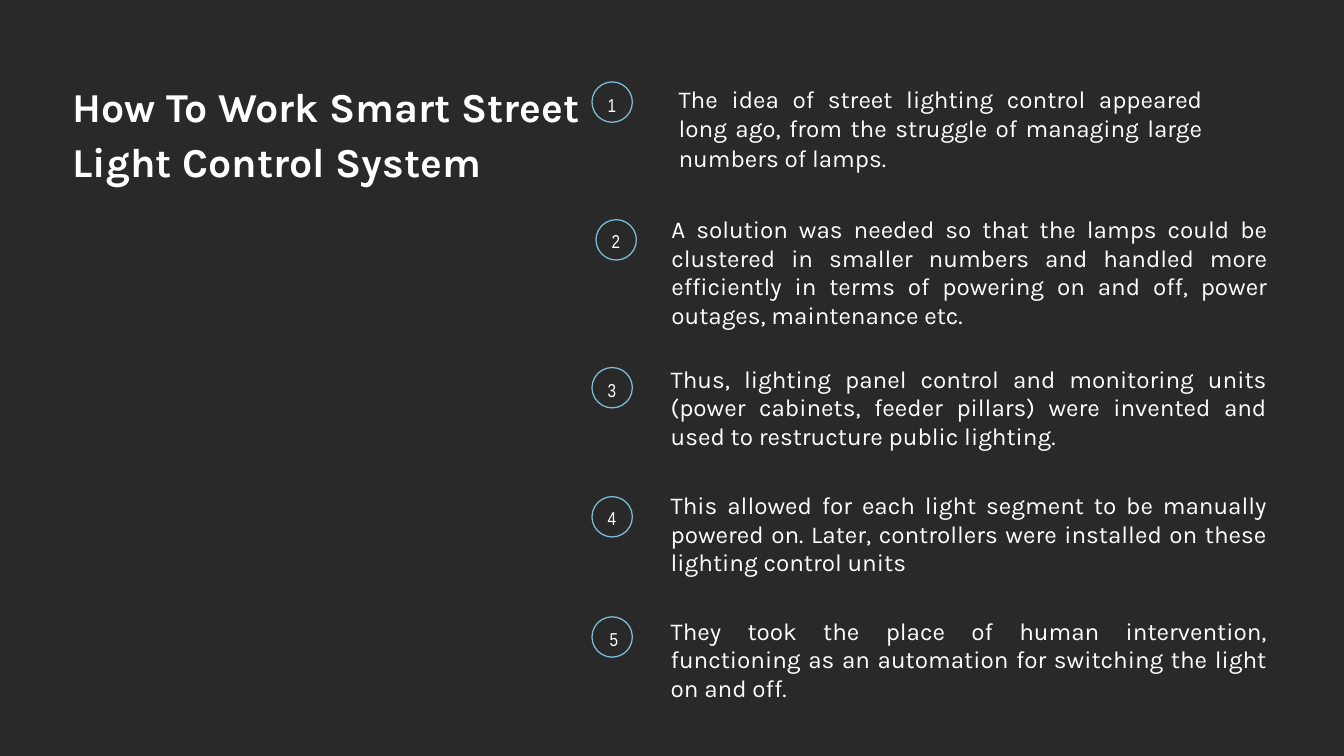
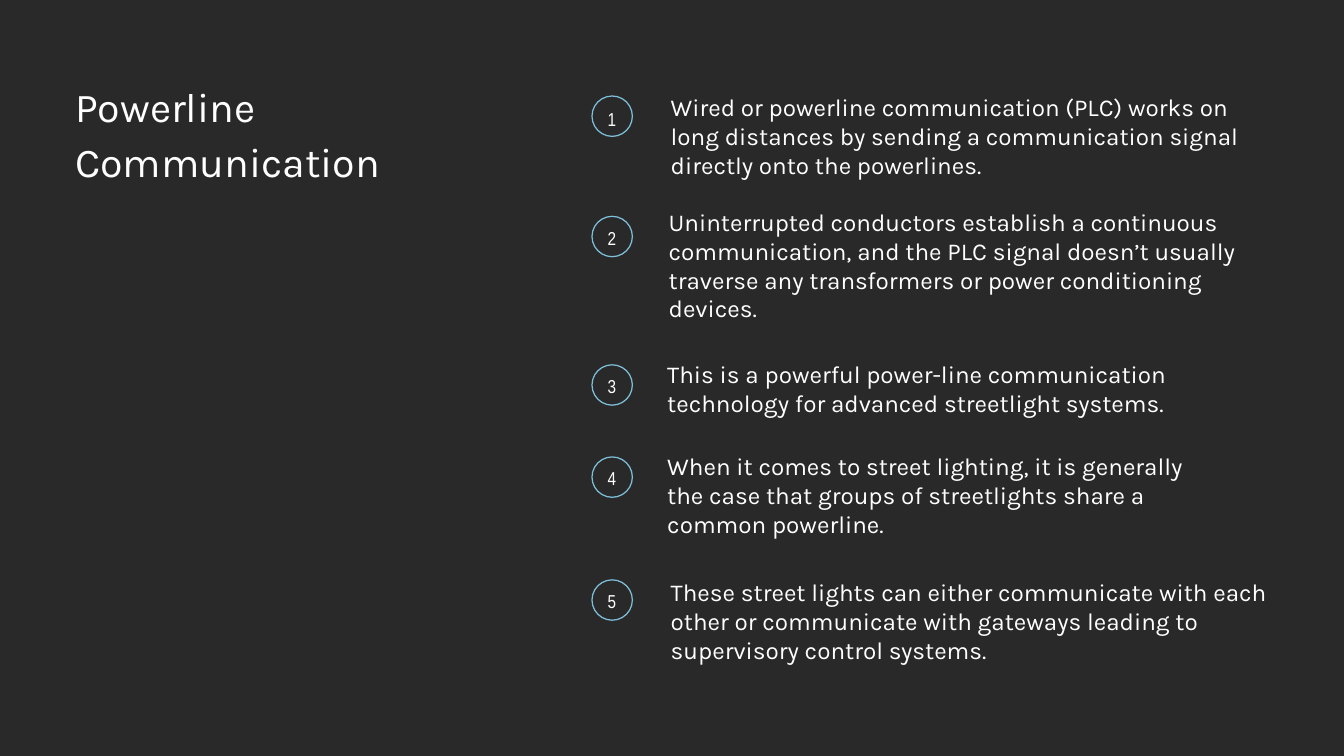
"""Build two dark slides, each with a title and five numbered steps."""
from dataclasses import dataclass

from pptx import Presentation
from pptx.dml.color import RGBColor
from pptx.enum.shapes import MSO_SHAPE as Shape
from pptx.enum.text import MSO_AUTO_SIZE as Fit, PP_ALIGN as Align
from pptx.util import Pt

DARK, WHITE, BLUE = "292929", "FFFFFF", "7EC0DA"
BODY, DIGIT = "Karla", "Arial Narrow"
LEFT = 633.6
RING = 44.6


@dataclass
class Step:
    """One numbered step, with its text placed from the left and top of its row."""
    top: float
    text: str
    dx: float = 85
    dy: float = 0
    wide: float = 639.4
    high: float = 93.6
    lead: float = 30.8
    ring: float = 0
    num: tuple = (6.5, 7.5)


def paint(code):
    """Turn a hex string into a colour."""
    return RGBColor.from_string(code)


def write(shapes, box, text, size, lead=None, face=BODY, align=None, bold=None):
    """Add a text box; exact line spacing goes with zero insets."""
    frame = shapes.add_textbox(*map(Pt, box)).text_frame
    frame.word_wrap = True
    frame.auto_size = Fit.SHAPE_TO_FIT_TEXT
    frame.text = text
    para = frame.paragraphs[0]
    para.alignment = align
    if lead:
        frame.margin_left = frame.margin_right = 0
        frame.margin_top = frame.margin_bottom = 0
        para.line_spacing = Pt(lead)
    font = para.runs[0].font
    font.name, font.size, font.bold = face, Pt(size), bold
    font.color.rgb = paint(WHITE)


def badge(slide, left, top, digit, shift):
    """Add a thin ring with a digit in it."""
    shapes = slide.shapes.add_group_shape().shapes
    ring = shapes.add_shape(Shape.DONUT, *map(Pt, (left, top, RING, RING)))
    ring.adjustments[0] = 0.03
    ring.shadow.inherit = False
    ring.fill.solid()
    ring.fill.fore_color.rgb = paint(BLUE)
    ring.line.fill.background()
    box = (left + shift[0], top + shift[1], 31, 28)
    write(shapes, box, str(digit), 20, 28, DIGIT, Align.CENTER)


def panel(slide, left, steps, align):
    """Add the numbered steps, measured from the left of the panel."""
    for digit, step in enumerate(steps, 1):
        badge(slide, left + step.ring, step.top, digit, step.num)
        box = (left + step.dx, step.top + step.dy, step.wide, step.high)
        write(slide.shapes, box, step.text, 26, step.lead, align=align)


def page(deck, title, box, steps, bold=None, align=None):
    """Add a slide with its title and steps."""
    slide = deck.slides.add_slide(deck.slide_layouts[6])
    fill = slide.background.fill
    fill.solid()
    fill.fore_color.rgb = paint(DARK)
    write(slide.shapes, box, title, 44, 58.8, bold=bold)
    panel(slide, LEFT, steps, align)


WORK = [
    Step(87.1, "The idea of street lighting control appeared long ago, from the "
         "struggle of managing large numbers of lamps.",
         dx=86.4, wide=576, high=101.5, lead=None, num=(6.5, 10)),
    Step(234.7, "A solution was needed so that the lamps could be clustered in "
         "smaller numbers and handled more efficiently in terms of powering on "
         "and off, power outages, maintenance etc.",
         dx=85.7, dy=-5, high=125.3, ring=4.3),
    Step(393.1, "Thus, lighting panel control and monitoring units (power "
         "cabinets, feeder pillars) were invented and used to restructure "
         "public lighting.", dy=-2.9, num=(6.5, 8.6)),
    Step(531.4, "This allowed for each light segment to be manually powered on. "
         "Later, controllers were installed on these lighting control units",
         dy=-5.8),
    Step(660.2, "They took the place of human intervention, functioning as an "
         "automation for switching the light on and off.",
         high=62.6, num=(8.6, 8.6)),
]
LINE = [
    Step(102.2, "Wired or powerline communication (PLC) works on long distances "
         "by sending a communication signal directly onto the powerlines.",
         dy=-2.8, num=(6.5, 9.4)),
    Step(231.1, "Uninterrupted conductors establish a continuous communication, "
         "and the PLC signal doesn’t usually traverse any transformers or power "
         "conditioning devices.", dx=82.8, dy=-8.6, high=125.3),
    Step(390.2, "This is a powerful power-line communication technology for "
         "advanced streetlight systems.",
         dx=74.2, dy=-8.6, wide=650.2, high=70.6, lead=None),
    Step(488.9, "When it comes to street lighting, it is generally the case that "
         "groups of streetlights share a common powerline.",
         dx=74.2, dy=-9.4, wide=601.2, high=101.5, lead=None),
    Step(620.6, "These street lights can either communicate with each other or "
         "communicate with gateways leading to supervisory control systems.",
         dy=-1.4, high=125.3),
]


def main():
    """Build and save the deck."""
    deck = Presentation()
    deck.slide_width, deck.slide_height = Pt(1440), Pt(810)
    page(deck, "How To Work Smart Street Light Control System",
         (77.8, 81.4, 548.6, 178.6), WORK, True, Align.JUSTIFY)
    page(deck, "Powerline Communication", (80.6, 81.4, 510.5, 118.8), LINE)
    deck.save("out.pptx")


if __name__ == "__main__":
    main()
